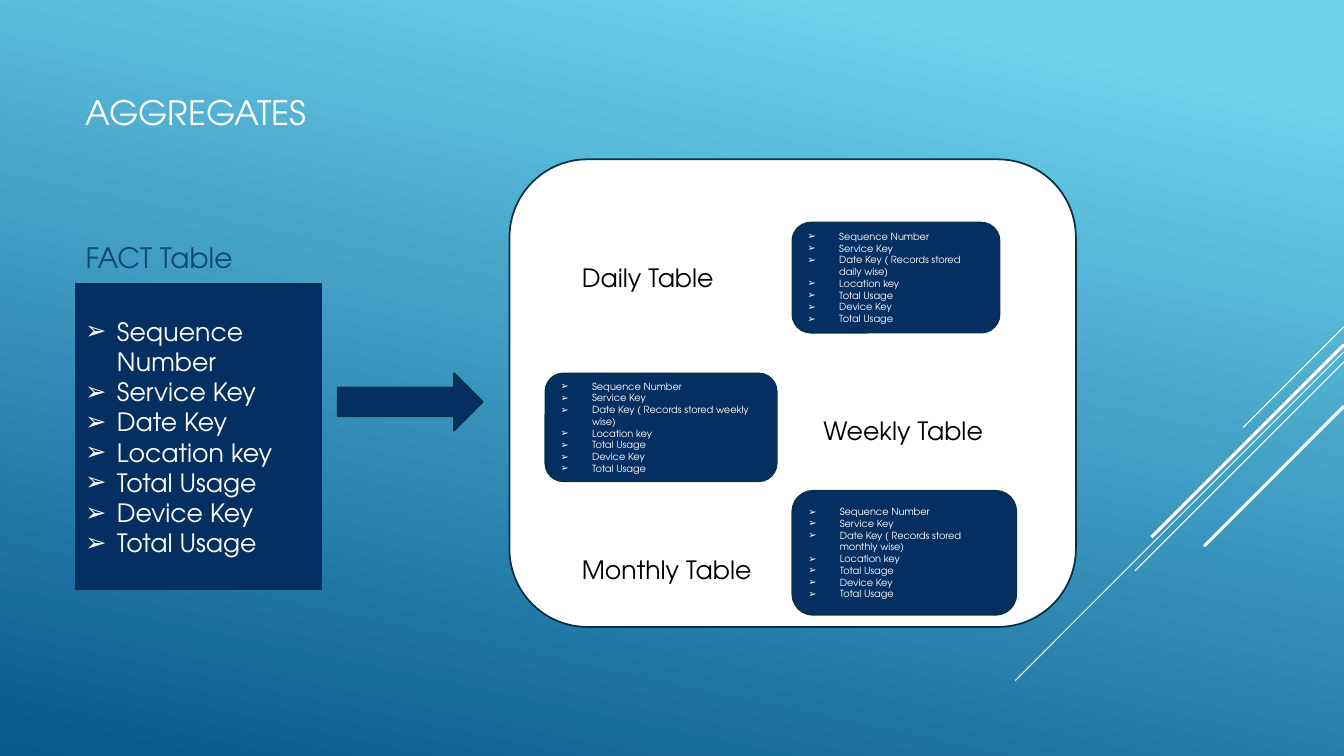
from lxml.etree import SubElement
from pptx import Presentation
from pptx.dml.color import RGBColor
from pptx.enum.shapes import MSO_CONNECTOR as Connector, MSO_SHAPE as Preset
from pptx.enum.text import MSO_ANCHOR as Anchor, PP_ALIGN as Align
from pptx.oxml.ns import qn
from pptx.util import Pt

COLORS = {
    "sky": "6ED2EB", "deep": "06588E", "navy": "052F61", "edge": "043148",
    "heading": "0F496F", "white": "FFFFFF", "black": "000000",
}


def color(name):
    return RGBColor.from_string(COLORS[name])


def write(box, text, size=18, ink="white", bullet=False, anchor=Anchor.MIDDLE):
    frame = box.text_frame
    frame.word_wrap = True
    frame.vertical_anchor = anchor
    for index, line in enumerate(text.split("\n")):
        para = frame.add_paragraph() if index else frame.paragraphs[0]
        para.alignment = Align.LEFT
        span = para.add_run()
        span.text = line
        span.font.size = Pt(size)
        span.font.name = "TeX Gyre Adventor"
        span.font.color.rgb = color(ink)
        if bullet:
            props = para._p.get_or_add_pPr()
            props.set("marL", str(Pt(22.5)))
            props.set("indent", str(-Pt(22.5)))
            SubElement(props, qn("a:buFont"), typeface="Arial")
            SubElement(props, qn("a:buChar"), char="➢")


deck = Presentation()
deck.slide_width, deck.slide_height = Pt(960), Pt(540)
page = deck.slides.add_slide(deck.slide_layouts[6])

backdrop = page.background.fill
backdrop.gradient()
backdrop.gradient_angle = 258
for stop, position, name in zip(backdrop.gradient_stops, (0.1, 1), ("sky", "deep")):
    stop.position = position
    stop.color.rgb = color(name)

for start_y, run, width in [
    (233.3, 72, 0.75), (251.3, 234.7, 0.75), (258.5, 149.3, 0.75),
    (246.2, 137.5, 2.25), (290.2, 100, 2.25),
]:
    ray = page.shapes.add_connector(
        Connector.STRAIGHT, Pt(960), Pt(start_y), Pt(960 - run), Pt(start_y + run))
    ray.line.color.rgb = color("white")
    ray.line.width = Pt(width)
    SubElement(ray._element.spPr, qn("a:effectLst"))

FIELDS = "Sequence Number\nService Key\n{}\nLocation key\nTotal Usage\nDevice Key\nTotal Usage"
STORED = "Date Key ( Records stored {} wise)"

for preset, left, top, width, height, fill, date_field, size in [
    (Preset.RECTANGLE, 54, 203, 175.7, 218, "navy", "Date Key", 18),
    (Preset.ROUNDED_RECTANGLE, 363.9, 113.8, 404.6, 334, "white", None, None),
    (Preset.RIGHT_ARROW, 241.2, 266.6, 103.7, 41, "navy", None, None),
    (Preset.ROUNDED_RECTANGLE, 566, 159, 148, 78.6, "navy", STORED.format("daily"), 7),
    (Preset.ROUNDED_RECTANGLE, 389.6, 266.8, 165.2, 77, "navy", STORED.format("weekly"), 7),
    (Preset.ROUNDED_RECTANGLE, 566, 350.6, 160, 88.6, "navy", STORED.format("monthly"), 7),
]:
    box = page.shapes.add_shape(preset, Pt(left), Pt(top), Pt(width), Pt(height))
    box.shadow.inherit = False
    box.fill.solid()
    box.fill.fore_color.rgb = color(fill)
    box.line.color.rgb = color("edge")
    box.line.width = Pt(1.25)
    if date_field:
        write(box, FIELDS.format(date_field), size=size, bullet=True)

for text, left, top, width, height, size, ink, anchor in [
    ("AGGREGATES", 54, 56.2, 672, 48, 24, "white", Anchor.MIDDLE),
    ("FACT Table", 54, 168, 672, 32, 20, "heading", Anchor.MIDDLE),
    ("Daily Table", 408.5, 183.8, 128.2, 29, 18, "black", Anchor.TOP),
    ("Monthly Table", 408.5, 392.4, 139, 29, 18, "black", Anchor.TOP),
    ("Weekly Table", 581, 293, 133.2, 29, 18, "black", Anchor.TOP),
]:
    label = page.shapes.add_textbox(Pt(left), Pt(top), Pt(width), Pt(height))
    write(label, text, size=size, ink=ink, anchor=anchor)

deck.save("out.pptx")
